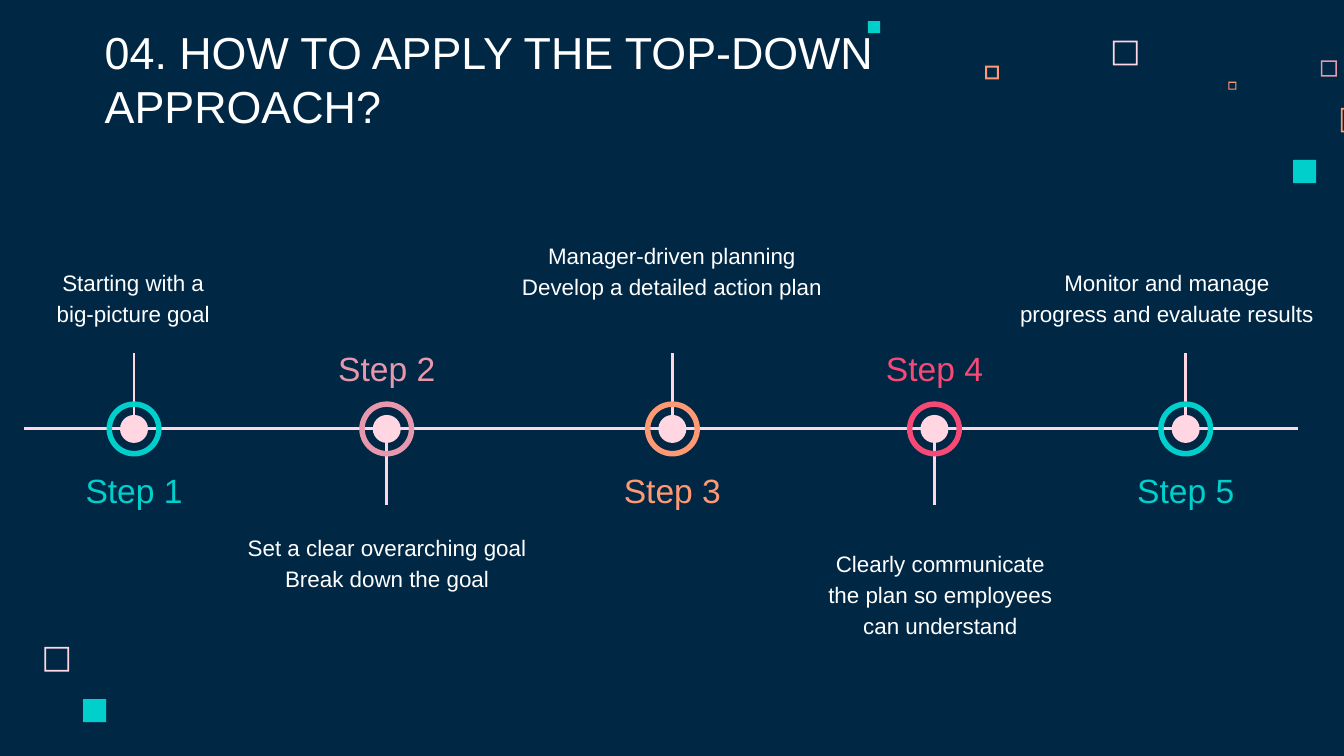
from dataclasses import dataclass

from lxml import etree
from pptx import Presentation
from pptx.dml.color import RGBColor
from pptx.enum.shapes import MSO_CONNECTOR, MSO_SHAPE
from pptx.enum.text import MSO_ANCHOR, PP_ALIGN
from pptx.oxml.ns import qn
from pptx.util import Pt

LINE = MSO_CONNECTOR.STRAIGHT
RECT, FRAME = MSO_SHAPE.RECTANGLE, MSO_SHAPE.FRAME
OVAL, DONUT = MSO_SHAPE.OVAL, MSO_SHAPE.DONUT
TOP, MID, LOW = MSO_ANCHOR.TOP, MSO_ANCHOR.MIDDLE, MSO_ANCHOR.BOTTOM
LEFT, CENTER = PP_ALIGN.LEFT, PP_ALIGN.CENTER
ABOVE, BELOW = -1, 1


@dataclass(frozen=True)
class Theme:
    back: str = "002845"
    text: str = "FFFFFF"
    pale: str = "FFD6E1"
    teal: str = "00CFCC"
    rose: str = "E898AC"
    coral: str = "FF9973"
    red: str = "F64975"
    font: str = "Arial"
    title: float = 24
    label: float = 18
    note: float = 12
    rule: float = 1.5
    inset: float = 7.2


@dataclass(frozen=True)
class Step:
    """One stop on the axis; side tells where its stem and note go."""
    x: float
    side: int
    color: str
    lines: tuple
    note: tuple
    indent: float = 0


T = Theme()
WIDE, HIGH = 720, 405
AXIS = 229.8               # height of the axis below the top of its region
START, END = 13, 24.5      # gaps from the region's sides to the axis ends
NEAR, FAR = 4.5, 40.5      # stem ends, measured from the axis
DOT, RING, BAND = 15, 29.5, 0.1
LABEL = (101.5, 33.8)
GAP = 15.7                 # between the axis and a label

# Left, top, size, colour, and border as a share of the size (0 is solid)
SQUARES = [
    (596.2, 21.8, 13.2, T.pale, 0.07),
    (707.6, 32.4, 8.6, T.rose, 0.09),
    (658.1, 43.8, 4.3, T.coral, 0.14),
    (718.4, 57.8, 13.2, T.coral, 0.07),
    (692.7, 85.7, 12.4, T.teal, 0),
    (527.8, 35.2, 7.3, T.coral, 0.14),
    (465, 11.3, 6.5, T.teal, 0),
    (23.8, 346.6, 13.2, T.pale, 0.07),
    (44.5, 374.5, 12.4, T.teal, 0),
]

STEPS = [
    Step(71.8, ABOVE, T.teal, ("Starting with a big-picture goal",),
         (20.6, 139.2, 101.5, 43.2)),
    Step(207.2, BELOW, T.rose,
         ("Set a clear overarching goal", "Break down the goal"),
         (122.4, 276.8, 170, 51)),
    Step(360.2, ABOVE, T.coral,
         ("Manager-driven planning", "Develop a detailed action plan"),
         (272, 117, 176, 51)),
    Step(500.6, BELOW, T.red,
         ("Clearly communicate the plan so employees can understand",),
         (424.8, 285.3, 149, 51), indent=9),
    Step(635.2, ABOVE, T.teal,
         ("Monitor and manage progress and evaluate results",),
         (529.2, 139.2, 183, 43.2), indent=9),
]


def rgb(color):
    return RGBColor.from_string(color)


def add_shape(shapes, kind, box, color, band=0):
    """Add a filled shape; band is the border share of a frame or donut."""
    shape = shapes.add_shape(kind, *map(Pt, box))
    shape.shadow.inherit = False
    shape.fill.solid()
    shape.fill.fore_color.rgb = rgb(color)
    shape.line.fill.background()
    if band:
        shape.adjustments[0] = band


def add_disc(shapes, kind, x, y, size, color, band=0):
    """Add a round shape centred on x, y."""
    box = (x - size / 2, y - size / 2, size, size)
    add_shape(shapes, kind, box, color, band)


def add_line(shapes, *ends):
    line = shapes.add_connector(LINE, *map(Pt, ends))
    line.line.color.rgb = rgb(T.pale)
    line.line.width = Pt(T.rule)
    etree.SubElement(line._element.spPr, qn("a:effectLst"))


def add_text(shapes, box, lines, size, color, anchor,
             align=CENTER, space=1.0, indent=0):
    frame = shapes.add_textbox(*map(Pt, box)).text_frame
    frame.word_wrap = True
    frame.vertical_anchor = anchor
    frame.margin_left = frame.margin_right = Pt(T.inset)
    frame.margin_top = frame.margin_bottom = Pt(T.inset)
    para = frame.paragraphs[0]
    para.alignment = align
    para.line_spacing = space
    if indent:
        para._p.get_or_add_pPr().set("marL", str(Pt(indent)))
    for index, line in enumerate(lines):
        if index:
            para.add_line_break()
        run = para.add_run()
        run.text = line
        run.font.name = T.font
        run.font.size = Pt(size)
        run.font.color.rgb = rgb(color)


def add_squares(shapes, box):
    left, top = box[:2]
    for x, y, size, color, band in SQUARES:
        kind = FRAME if band else RECT
        add_shape(shapes, kind, (left + x, top + y, size, size), color, band)


def add_title(shapes, box):
    add_text(shapes, box, ["04. HOW TO APPLY THE TOP-DOWN APPROACH?"],
             T.title, T.text, LOW, LEFT)


def add_mark(shapes, x, y, step):
    """Group the stem, dot and ring of a step."""
    parts = shapes.add_group_shape().shapes
    add_line(parts, x, y + step.side * NEAR, x, y + step.side * FAR)
    add_disc(parts, OVAL, x, y, DOT, T.pale)
    add_disc(parts, DONUT, x, y, RING, step.color, BAND)


def add_label(shapes, x, y, step, name):
    """Name a step on the side of the axis that its note leaves free."""
    wide, high = LABEL
    top = y + GAP if step.side == ABOVE else y - GAP - high
    add_text(shapes, (x - wide / 2, top, wide, high), [name],
             T.label, step.color, MID)


def add_note(shapes, left, top, step):
    x, y, wide, high = step.note
    anchor = LOW if step.side == ABOVE else TOP
    add_text(shapes, (left + x, top + y, wide, high), step.lines,
             T.note, T.text, anchor, space=1.15, indent=step.indent)


def add_steps(shapes, box):
    left, top, wide, _ = box
    y = top + AXIS
    add_line(shapes, left + START, y, left + wide - END, y)
    for count, step in enumerate(STEPS, 1):
        x = left + step.x
        add_mark(shapes, x, y, step)
        add_label(shapes, x, y, step, f"Step {count}")
        add_note(shapes, left, top, step)


def main():
    deck = Presentation()
    deck.slide_width, deck.slide_height = Pt(WIDE), Pt(HIGH)
    slide = deck.slides.add_slide(deck.slide_layouts[6])
    slide.background.fill.solid()
    slide.background.fill.fore_color.rgb = rgb(T.back)
    page = (0, 0, WIDE, HIGH)
    add_squares(slide.shapes, page)
    add_title(slide.shapes, (49, 32.6, 461.5, 45.4))
    add_steps(slide.shapes, page)
    deck.save("out.pptx")


if __name__ == "__main__":
    main()
